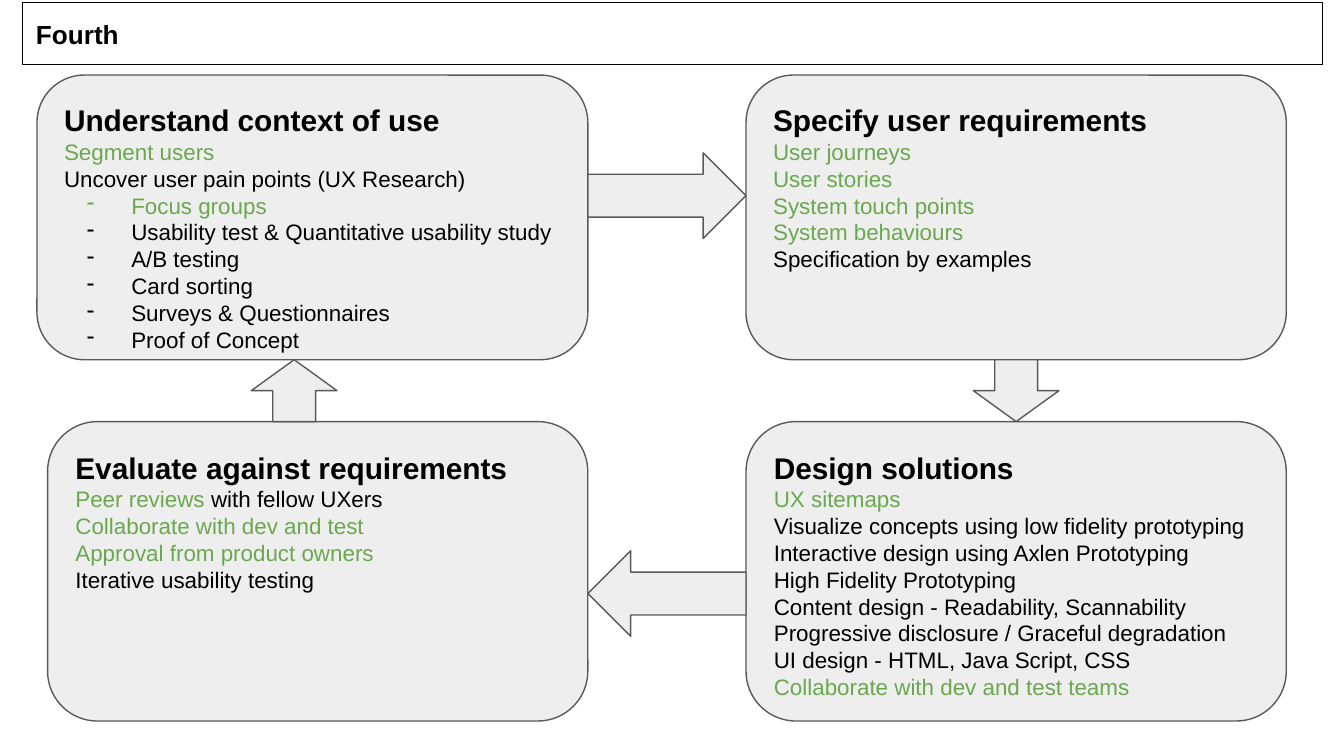
import pptx
import pptx.util
import pptx.dml.color
import pptx.enum.shapes
import pptx.enum.text
import pptx.oxml
import pptx.oxml.ns
from lxml import etree

Cm = pptx.util.Cm
Pt = pptx.util.Pt
RGBColor = pptx.dml.color.RGBColor
MSO_SHAPE = pptx.enum.shapes.MSO_SHAPE
MSO_ANCHOR = pptx.enum.text.MSO_ANCHOR
PP_ALIGN = pptx.enum.text.PP_ALIGN
qn = pptx.oxml.ns.qn

BLACK = RGBColor(0x00, 0x00, 0x00)
GREEN = RGBColor(0x6A, 0xA8, 0x4F)
GREY = RGBColor(0xEE, 0xEE, 0xEE)
EDGE = RGBColor(0x59, 0x59, 0x59)


def add_text(p, text, size=12, color=BLACK, bold=False, font="Arial"):
    r = p.add_run()
    r.text = text
    r.font.name = font
    r.font.size = Pt(size)
    r.font.bold = bold
    r.font.color.rgb = color


def add_dash(p, color):
    pPr = p._p.get_or_add_pPr()
    pPr.set("marL", str(Cm(1.27)))
    pPr.set("indent", str(Cm(-0.84)))
    clr = etree.SubElement(pPr, qn("a:buClr"))
    etree.SubElement(clr, qn("a:srgbClr")).set("val", str(color))
    etree.SubElement(pPr, qn("a:buChar")).set("char", "-")


class Board:
    def __init__(self, slide, fill=GREY, edge=EDGE, inset=0.25):
        self.s, self.fill, self.edge, self.inset = slide, fill, edge, inset

    def shape(self, kind, x, y, w, h):
        sp = self.s.shapes.add_shape(kind, Cm(x), Cm(y), Cm(w), Cm(h))
        sp.shadow.inherit = False
        sp.fill.solid()
        sp.fill.fore_color.rgb = self.fill
        sp.line.color.rgb = self.edge
        sp.line.width = Pt(0.75)
        return sp

    def frame(self, sp, anchor):
        tf = sp.text_frame
        tf.word_wrap = True
        tf.vertical_anchor = anchor
        tf.margin_left = tf.margin_right = Cm(self.inset)
        tf.margin_top = tf.margin_bottom = Cm(self.inset)
        tf.paragraphs[0].alignment = PP_ALIGN.LEFT
        return tf

    def header(self, text, x, y, w, h):
        sp = self.shape(MSO_SHAPE.RECTANGLE, x, y, w, h)
        sp.fill.background()
        sp.line.color.rgb = BLACK
        tf = self.frame(sp, MSO_ANCHOR.MIDDLE)
        add_text(tf.paragraphs[0], text, size=14, bold=True)

    def card(self, title, lines, x, y, w, h):
        sp = self.shape(MSO_SHAPE.ROUNDED_RECTANGLE, x, y, w, h)
        tf = self.frame(sp, MSO_ANCHOR.TOP)
        add_text(tf.paragraphs[0], title, size=16, bold=True)
        for dashed, runs in lines:
            p = tf.add_paragraph()
            p.alignment = PP_ALIGN.LEFT
            if dashed:
                add_dash(p, runs[0][1])
            for text, color in runs:
                add_text(p, text, color=color)

    def arrow(self, kind, x, y, w, h):
        self.shape(kind, x, y, w, h)


def done(text):
    return False, [(text, GREEN)]


def todo(text):
    return False, [(text, BLACK)]


def item(text, color=BLACK):
    return True, [(text, color)]


prs = pptx.Presentation()
prs.slide_width, prs.slide_height = Cm(25.4), Cm(14.29)
board = Board(prs.slides.add_slide(prs.slide_layouts[6]))

# Grid of the four cards
LEFT_EDGE, RIGHT_X, CARD_W = 11.11, 14.1, 10.21
TOP_Y, TOP_H = 1.42, 5.38
LOW_Y, LOW_H = 7.97, 5.66
WIDE_W = 10.41

# Cards
board.card("Understand context of use", [
    done("Segment users"),
    todo("Uncover user pain points (UX Research)"),
    item("Focus groups", GREEN),
    item("Usability test & Quantitative usability study"),
    item("A/B testing"),
    item("Card sorting"),
    item("Surveys & Questionnaires"),
    item("Proof of Concept"),
], LEFT_EDGE - WIDE_W, TOP_Y, WIDE_W, TOP_H)
board.card("Specify user requirements", [
    done("User journeys"),
    done("User stories"),
    done("System touch points"),
    done("System behaviours"),
    todo("Specification by examples"),
], RIGHT_X, TOP_Y, CARD_W, TOP_H)
board.card("Design solutions", [
    done("UX sitemaps"),
    todo("Visualize concepts using low fidelity prototyping"),
    todo("Interactive design using Axlen Prototyping"),
    todo("High Fidelity Prototyping"),
    todo("Content design - Readability, Scannability"),
    todo("Progressive disclosure / Graceful degradation"),
    todo("UI design - HTML, Java Script, CSS"),
    done("Collaborate with dev and test teams"),
], RIGHT_X, LOW_Y, CARD_W, LOW_H)
board.card("Evaluate against requirements", [
    (False, [("Peer reviews ", GREEN), ("with fellow UXers", BLACK)]),
    done("Collaborate with dev and test"),
    done("Approval from product owners"),
    todo("Iterative usability testing"),
], LEFT_EDGE - CARD_W, LOW_Y, CARD_W, LOW_H)

# Arrows fill the gaps between the cards
ARROW = 1.62
gap_w = RIGHT_X - LEFT_EDGE
gap_y = TOP_Y + TOP_H
gap_h = LOW_Y - gap_y
board.arrow(MSO_SHAPE.RIGHT_ARROW, LEFT_EDGE, 2.89, gap_w, ARROW)
board.arrow(MSO_SHAPE.LEFT_ARROW, LEFT_EDGE, LOW_Y + (LOW_H - 0.38 - ARROW) / 2 + 0.61,
            gap_w, ARROW)
board.arrow(MSO_SHAPE.DOWN_ARROW, RIGHT_X + (CARD_W - ARROW) / 2, gap_y, ARROW, gap_h)
board.arrow(MSO_SHAPE.UP_ARROW, 4.75, gap_y, ARROW, gap_h)

# Header bar
board.header("Fourth", 0.43, 0.05, 24.56, 1.17)

prs.save("out.pptx")
